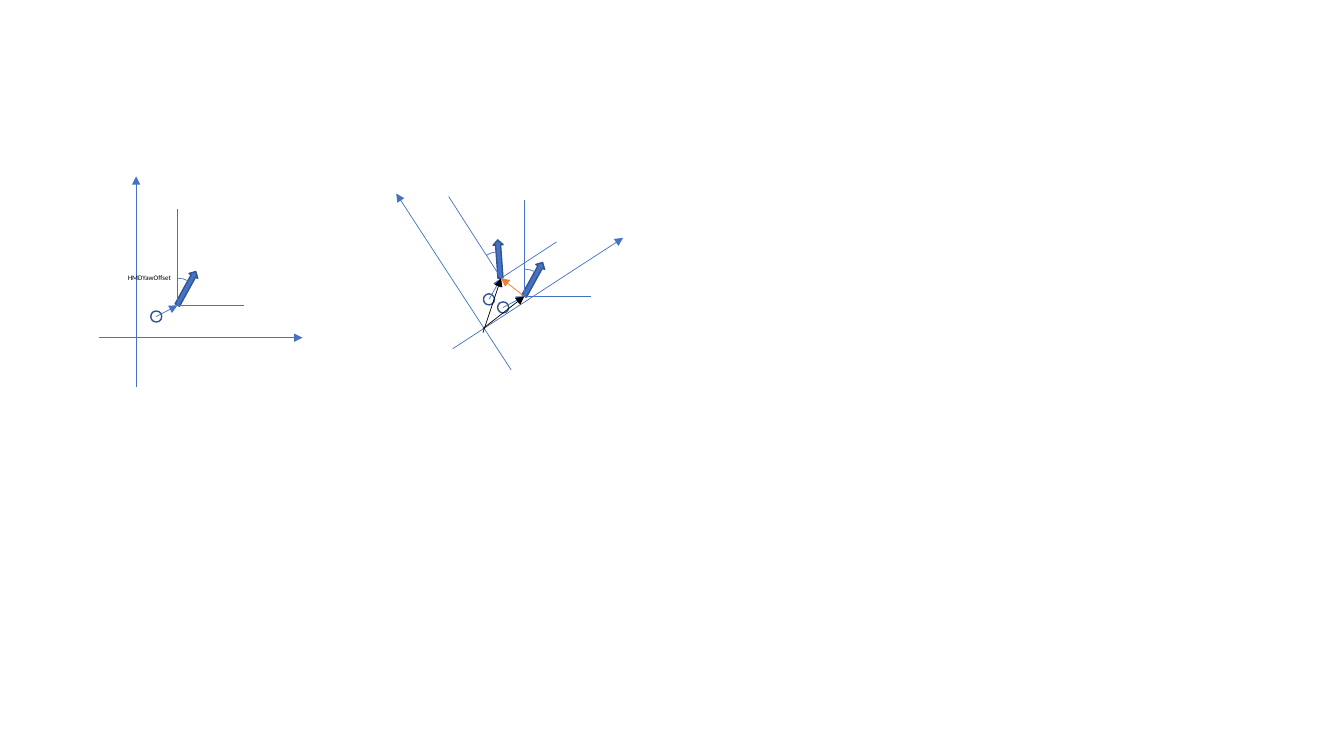
from math import cos, radians, sin

from lxml.etree import SubElement
from pptx import Presentation
from pptx.dml.color import RGBColor
from pptx.enum.shapes import MSO_CONNECTOR, MSO_SHAPE
from pptx.enum.text import MSO_AUTO_SIZE
from pptx.oxml.ns import qn
from pptx.util import Pt

PX = 9144  # 100 px to the inch
COLORS = {"blue": "4472C4", "outline": "325491", "black": "000000", "orange": "ED7D31"}
FONT = "Calibri"
FRAME_TURN = -33
HEADING = 208.9


def rgb(name):
    return RGBColor.from_string(COLORS[name])


def offset(origin, dx, dy, turn=0):
    """Point at (dx, dy) from origin, in a frame turned clockwise by degrees."""
    c, s = cos(radians(turn)), sin(radians(turn))
    return round(origin[0] + dx * c - dy * s), round(origin[1] + dx * s + dy * c)


class Diagram:
    def __init__(self, slide):
        self.slide = slide
        self.shapes = slide.shapes

    def start_group(self):
        self.shapes = self.slide.shapes.add_group_shape().shapes

    def end_group(self):
        self.shapes = self.slide.shapes

    def line(self, start, end, color="blue", arrow=False):
        line = self.shapes.add_connector(
            MSO_CONNECTOR.STRAIGHT, *(v * PX for v in (*start, *end)))
        line.line.color.rgb = rgb(color)
        line.line.width = Pt(0.5)
        if arrow:
            SubElement(line.line._get_or_add_ln(), qn("a:tailEnd"), type="triangle")
        SubElement(line._element.spPr, qn("a:effectLst"))

    def shape(self, kind, center, width, height, turn=0, fill=None,
              color="outline", weight=1):
        x, y = center
        shape = self.shapes.add_shape(
            kind, x * PX - width * PX // 2, y * PX - height * PX // 2,
            width * PX, height * PX)
        shape.rotation = turn % 360
        shape.shadow.inherit = False
        if fill:
            shape.fill.solid()
            shape.fill.fore_color.rgb = rgb(fill)
        else:
            shape.fill.background()
        shape.line.color.rgb = rgb(color)
        shape.line.width = Pt(weight)
        return shape

    def text(self, text, left, top, width, height, size, color="black"):
        box = self.shapes.add_textbox(left * PX, top * PX, width * PX, height * PX)
        box.text_frame.word_wrap = False
        box.text_frame.auto_size = MSO_AUTO_SIZE.SHAPE_TO_FIT_TEXT
        run = box.text_frame.paragraphs[0].add_run()
        run.text = text
        run.font.size = Pt(size)
        run.font.name = FONT
        run.font.color.rgb = rgb(color)

    def axes(self, origin, turn=0):
        for start, end in (((-37, 0), (165, 0)), ((0, 49), (0, -160))):
            self.line(offset(origin, *start, turn), offset(origin, *end, turn), arrow=True)

    def headset(self, pivot, turn=0):
        """Tracked point, heading arrow, local axes and yaw arc around pivot."""
        tracked = offset(pivot, -21, 11, turn)
        self.shape(MSO_SHAPE.OVAL, tracked, 11, 11, turn)
        self.shape(MSO_SHAPE.DOWN_ARROW, offset(pivot, 9, -17, turn), 10, 38,
                   HEADING + turn, fill="blue")
        self.line(tracked, pivot, arrow=True)
        self.line(pivot, offset(pivot, 0, -96, turn))
        self.line(pivot, offset(pivot, 66, 0, turn))
        yaw = self.shape(MSO_SHAPE.ARC, pivot, 50, 54, turn, color="blue", weight=0.5)
        yaw.adjustments[0], yaw.adjustments[1] = 162, 176.452


def main():
    prs = Presentation()
    prs.slide_width, prs.slide_height = 1333 * PX, 750 * PX
    diagram = Diagram(prs.slides.add_slide(prs.slide_layouts[6]))
    turned_pivot, upright_pivot = (497, 276), (520, 294)

    diagram.start_group()
    diagram.axes((480, 326), FRAME_TURN)
    diagram.headset(turned_pivot, FRAME_TURN)
    diagram.end_group()
    diagram.headset(upright_pivot)

    diagram.axes((135, 335))
    diagram.headset((176, 303))
    diagram.text("HMDYawOffset", 117, 266, 64, 19, size=5)

    diagram.line((479, 330), turned_pivot, "black", arrow=True)
    diagram.line((479, 326), upright_pivot, "black", arrow=True)
    diagram.line(upright_pivot, turned_pivot, "orange", arrow=True)
    prs.save("out.pptx")


if __name__ == "__main__":
    main()
